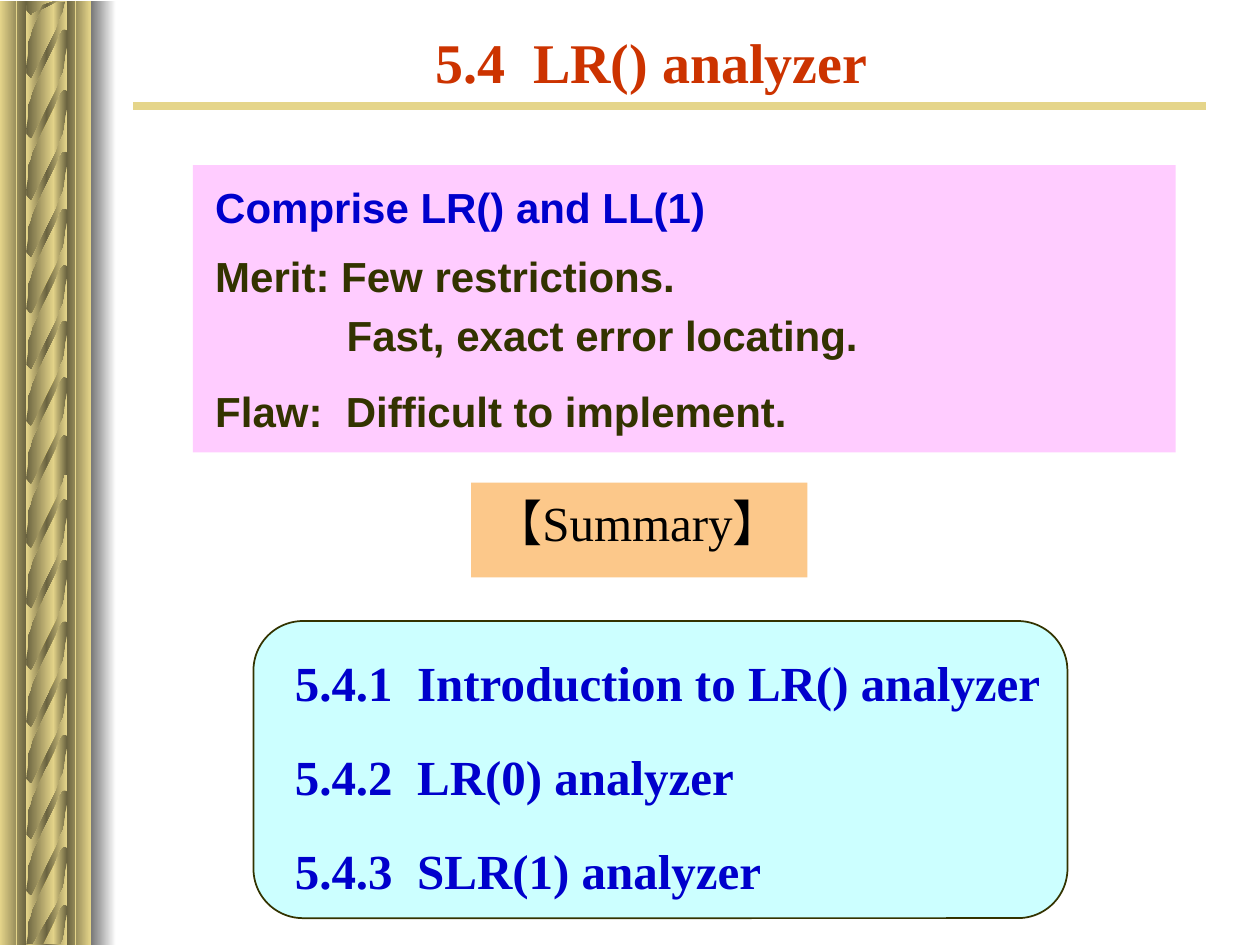
from copy import deepcopy

from pptx import Presentation
from pptx.dml.color import RGBColor
from pptx.enum.shapes import MSO_CONNECTOR, MSO_SHAPE
from pptx.enum.text import MSO_ANCHOR, MSO_AUTO_SIZE, PP_ALIGN
from pptx.oxml.ns import qn
from pptx.util import Cm, Pt

RECT, ROUNDED = MSO_SHAPE.RECTANGLE, MSO_SHAPE.ROUNDED_RECTANGLE
STRAIGHT = MSO_CONNECTOR.STRAIGHT
TOP, MIDDLE = MSO_ANCHOR.TOP, MSO_ANCHOR.MIDDLE
LEFT, CENTER = PP_ALIGN.LEFT, PP_ALIGN.CENTER
NO_FIT = MSO_AUTO_SIZE.NONE

WIDTH, HEIGHT = 25.4, 19.05
SERIF, SANS, CJK = "Times New Roman", "Arial", "Noto Sans CJK SC"
COLORS = {
    "gold": "E5D58A", "bronze": "6A6340", "gray": "767676", "white": "FFFFFF",
    "red": "CC3300", "blue": "0000CC", "olive": "333300", "black": "000000",
    "cyan": "CCFFFF", "orange": "FCC88A", "pink": "FFCCFF",
}

# Outline of one rope strand, in cm: x on the slide, y from the strand's top
STRAND = [
    (1.35, 0.23), (1.35, 0.86), (1.32, 0.84), (1.27, 0.84), (1.24, 0.86),
    (1.19, 0.94), (1.09, 1.17), (0.86, 1.63), (0.64, 2.11), (0.61, 2.24),
    (0.56, 2.36), (0.56, 2.57), (0.53, 2.84), (0.53, 1.63), (0.53, 1.73),
    (0.56, 1.78), (0.58, 1.8), (0.61, 1.83), (0.64, 1.83), (0.66, 1.8),
    (1.14, 0.84), (1.22, 0.61), (1.27, 0.51), (1.3, 0.38), (1.32, 0.18),
    (1.35, 0), (1.35, 0.53),
]
STRAND_TOPS = [-0.28, 0.94, 2.18, 3.33, 4.47, 5.59, 6.73, 7.9]
LIGHT_TO_DARK, DARK_TO_LIGHT = ("gold", "bronze"), ("bronze", "gold")
COLUMNS = [
    (1.07, 0.28, LIGHT_TO_DARK), (0, 0.53, LIGHT_TO_DARK),
    (0.53, 0.56, DARK_TO_LIGHT), (1.35, 0.48, DARK_TO_LIGHT),
]
COLUMN_HEIGHT = 9.55


class SlideBuilder:
    def __init__(self, slide):
        self.slide = slide
        self.shapes = slide.shapes

    def color(self, name):
        return RGBColor.from_string(COLORS[name])

    def paint(self, shape, fill, line=None):
        """Fill with one colour name, or with a gradient from a tuple of names."""
        shape.shadow.inherit = False
        if isinstance(fill, tuple):
            shape.fill.gradient()
            shape.fill.gradient_angle = 0
            stop_list = shape.element.spPr.find(".//" + qn("a:gsLst"))
            for _ in fill[2:]:
                stop_list.append(deepcopy(stop_list[0]))
            for i, (stop, name) in enumerate(zip(shape.fill.gradient_stops, fill)):
                stop.position = i / (len(fill) - 1)
                stop.color.rgb = self.color(name)
        else:
            shape.fill.solid()
            shape.fill.fore_color.rgb = self.color(fill)
        if line:
            shape.line.color.rgb = self.color(line)
            shape.line.width = Pt(1)
        else:
            shape.line.fill.background()

    def panel(self, kind, box, fill, line=None):
        shape = self.shapes.add_shape(kind, *map(Cm, box))
        self.paint(shape, fill, line)

    def strand(self, top, upper_limit):
        points = [(Cm(x), Cm(min(max(top + y, upper_limit), HEIGHT))) for x, y in STRAND]
        builder = self.shapes.build_freeform(*points[0])
        builder.add_line_segments(points[1:])
        self.paint(builder.convert_to_shape(), ("gold", "bronze", "gold"))

    def line(self, start, end, color, width):
        connector = self.shapes.add_connector(STRAIGHT, *map(Cm, start + end))
        connector.line.color.rgb = self.color(color)
        connector.line.width = Pt(width)
        properties = connector.element.spPr
        properties.append(properties.makeelement(qn("a:effectLst"), {}))

    def set_text(self, shape, box, paragraphs, size, color, bold=True,
                 align=LEFT, anchor=TOP, spacing=1.0, gap=0):
        """Each paragraph is a list of (text, font name) runs."""
        for name, value in zip(("left", "top", "width", "height"), box):
            setattr(shape, name, Cm(value))
        frame = shape.text_frame
        frame_format = {"word_wrap": True, "auto_size": NO_FIT, "vertical_anchor": anchor}
        for name, value in frame_format.items():
            setattr(frame, name, value)
        for i, runs in enumerate(paragraphs):
            paragraph = frame.add_paragraph() if i else frame.paragraphs[0]
            properties = paragraph._p.get_or_add_pPr()
            properties.set("marL", "0")
            properties.set("indent", "0")
            properties.append(properties.makeelement(qn("a:buNone"), {}))
            paragraph_format = {"alignment": align, "line_spacing": spacing,
                                "space_before": Pt(gap if i else 0)}
            for name, value in paragraph_format.items():
                setattr(paragraph, name, value)
            for text, font_name in runs:
                run = paragraph.add_run()
                run.text = text
                run_format = {"name": font_name, "size": Pt(size), "bold": bold}
                for name, value in run_format.items():
                    setattr(run.font, name, value)
                run.font.color.rgb = self.color(color)
                if font_name == CJK:
                    latin = run._r.rPr.find(qn("a:latin"))
                    latin.addnext(latin.makeelement(qn("a:ea"), {"typeface": CJK}))

    def text(self, box, paragraphs, size, color, **options):
        textbox = self.shapes.add_textbox(*map(Cm, box))
        self.set_text(textbox, box, paragraphs, size, color, **options)


def main():
    deck = Presentation()
    deck.slide_width, deck.slide_height = Cm(WIDTH), Cm(HEIGHT)
    slide = deck.slides.add_slide(deck.slide_layouts[1])
    title, section_list = slide.placeholders
    builder = SlideBuilder(slide)

    # Rope border, lower half first
    for half_top, extra_top in ((9.5, 8.94), (0.03, -1.55)):
        for left, width, gradient in COLUMNS:
            builder.panel(RECT, (left, half_top, width, COLUMN_HEIGHT), gradient)
        for top in STRAND_TOPS + [extra_top]:
            builder.strand(half_top + top, half_top)
    builder.panel(RECT, (1.83, 0.03, 0.51, 19.02), ("gray", "white"))
    for x in (0.33, 1.52):
        builder.line((x, 0.03), (x, HEIGHT), "gold", 1)

    # Title and rule
    builder.line((2.69, 2.13), (24.31, 2.13), "gold", 4.5)
    builder.set_text(title, (4.78, 0.51, 16.71, 1.63), [[("5.4  LR() analyzer", SERIF)]],
                     32, "red", align=CENTER, anchor=MIDDLE, spacing=0.9)

    # Summary label
    builder.panel(RECT, (9.5, 9.73, 6.78, 1.91), "orange")
    builder.text((9.7, 9.93, 6.81, 1.5), [[("【", CJK), ("Summary", SERIF), ("】", CJK)]],
                 28, "black", bold=False, spacing=0.9)

    # Section list, raised above its panel
    builder.panel(ROUNDED, (5.11, 12.52, 16.41, 5.99), "cyan", "olive")
    sections = ["5.4.1  Introduction to LR() analyzer", "5.4.2  LR(0) analyzer",
                "5.4.3  SLR(1) analyzer"]
    builder.set_text(section_list, (5.69, 13.03, 16, 4.39),
                     [[(section, SERIF)] for section in sections], 28, "blue", gap=20)
    section_list.element.getparent().append(section_list.element)

    # Comparison of LR() and LL(1)
    builder.panel(RECT, (3.89, 3.33, 19.81, 5.79), "pink")
    for left, top, statement, color in (
        (4.09, 3.53, "Comprise LR() and LL(1)", "blue"),
        (4.09, 4.93, "Merit: Few restrictions.", "olive"),
        (6.74, 6.12, "Fast, exact error locating.", "olive"),
        (4.09, 7.65, "Flaw:  Difficult to implement.", "olive"),
    ):
        builder.text((left, top, 16.41, 1.27), [[(statement, SANS)]], 24, color)

    deck.save("out.pptx")


if __name__ == "__main__":
    main()
